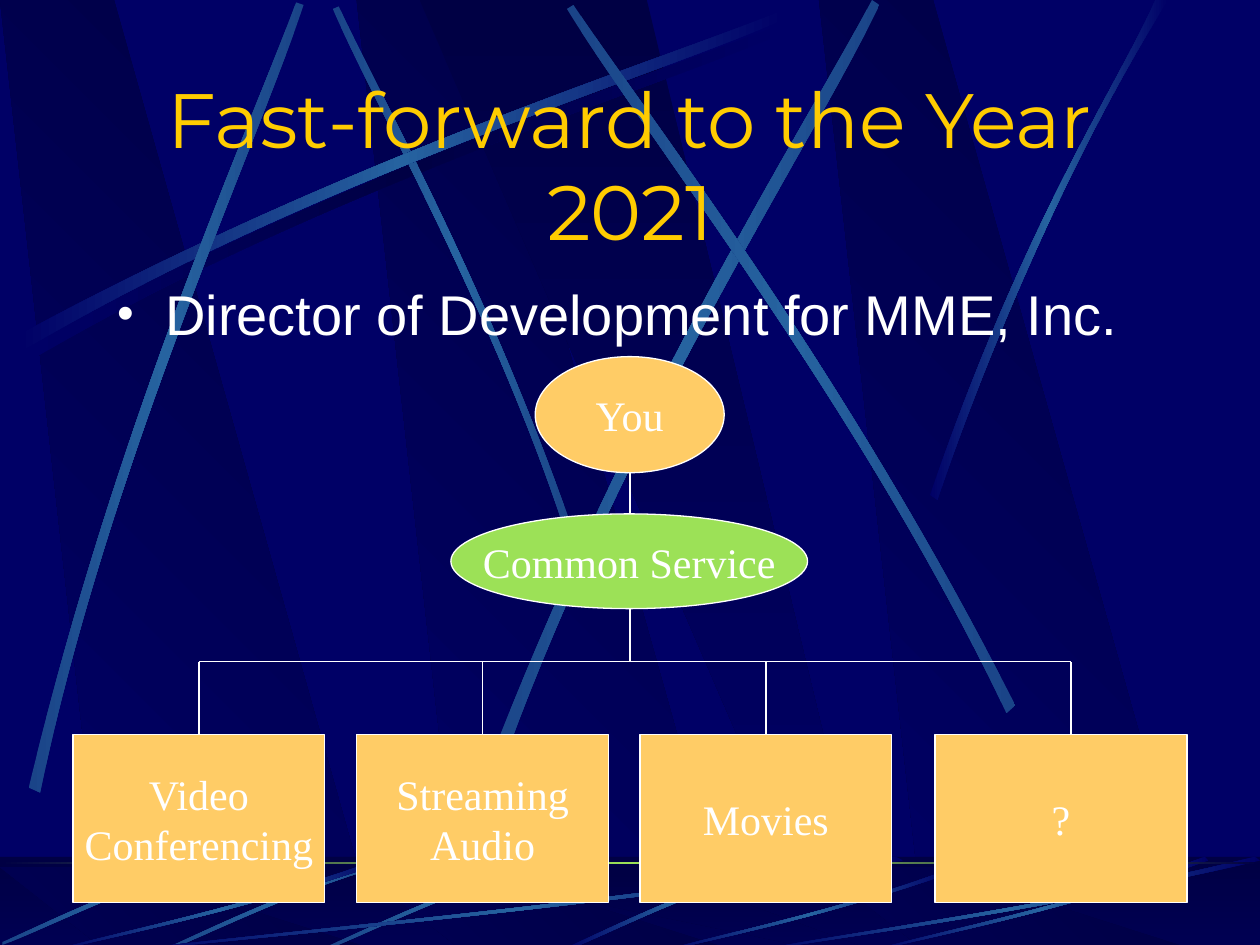
from lxml import etree
from pptx import Presentation
from pptx import util as u
from pptx.dml.color import RGBColor
from pptx.enum import shapes, text
from pptx.oxml import parse_xml
from pptx.oxml.ns import nsdecls, qn

COLORS = {"night": "000066", "deep": "000044", "beam": "2663A0", "beam_end": "1A4488",
          "green": "9CE157", "amber": "FFCC66", "gold": "FFCC00", "white": "FFFFFF"}
FADE = ("night", "beam", "night")
GLOW = ("beam_end", "beam", "beam_end")
SHADE = ("deep", "night")

# Outlines as fractions of their box; rays are two cubic edges, out and back.
SLANT = [(0.28, 1), (1, 1), (0.3, 0), (0, 0)]
WEDGE = [(0, 0), (0.9, 1), (1, 1), (0.5, 0)]
SWEEP = [(0, 0.96), (0.43, 0.43), (0.83, 0.15), (0.99, 0),
         (1, 0.02), (0.83, 0.19), (0.38, 0.5), (0.01, 1)]
FLOOR_RAY = [(1, 0.04), (0.57, 0.57), (0.17, 0.85), (0, 1),
             (0, 0.99), (0.17, 0.81), (0.61, 0.51), (0.99, 0)]
SLIVER = [(0.99, 0), (0.53, 0.33), (0.16, 0.8), (0, 0.97),
          (0, 1), (0.17, 0.84), (0.58, 0.31), (1, 0.04)]

# Tall rays in inches from the corner of the page.
RAY_STEEP = [(4.6, 4.36), (3.91, 2.34), (3.02, 0.77), (2.69, 0.05),
             (2.64, 0.07), (2.95, 0.79), (3.98, 2.58), (4.54, 4.39)]
RAYS = [
    ([(0.23, 6.25), (0.93, 3.34), (1.97, 1.05), (2.35, 0.02),
      (2.41, 0.04), (2.07, 1.08), (0.86, 3.68), (0.32, 6.29)], GLOW),
    ([(3.85, 6.14), (4.98, 3.2), (6.38, 1.02), (6.92, 0),
      (6.98, 0.04), (6.49, 1.08), (4.86, 3.55), (3.94, 6.21)], GLOW),
    ([(8.06, 5.6), (6.7, 2.93), (5.16, 0.95), (4.55, 0.04),
      (4.5, 0.07), (5.07, 1.01), (6.85, 3.25), (7.99, 5.66)], GLOW),
    ([(7.38, 3.93), (8.14, 1.73), (8.88, 0.66), (9.17, 0),
      (9.27, 0), (8.36, 1.45), (7.69, 3.22), (7.44, 3.97)], FADE),
]


def length(inches):
    """Turn inches into a length given in centimetres."""
    return u.Cm(round(inches * 2.54, 2))


def rgb(name):
    """Look up a named colour."""
    return RGBColor.from_string(COLORS[name])


def shade(shape, names, angle):
    """Fill a shape with an even linear gradient and no outline."""
    shape.shadow.inherit = False
    shape.line.fill.background()
    shape.fill.background()
    stops = "".join(
        f'<a:gs pos="{100000 * i // (len(names) - 1)}"><a:srgbClr val="{COLORS[name]}"/></a:gs>'
        for i, name in enumerate(names))
    gradient = parse_xml(f'<a:gradFill {nsdecls("a")} rotWithShape="1"><a:gsLst>{stops}</a:gsLst>'
                         f'<a:lin ang="{angle * 60000}" scaled="0"/></a:gradFill>')
    properties = shape._element.spPr
    properties.replace(properties.find(qn("a:noFill")), gradient)


def outline(page, box, points, names, angle):
    """Draw a closed shape from points that are fractions of the box."""
    left, top, width, height = box
    places = [(length(left + x * width), length(top + y * height)) for x, y in points]
    builder = page.shapes.build_freeform(*places[0])
    builder.add_line_segments(places[1:], close=True)
    shape = builder.convert_to_shape()
    shade(shape, names, angle)
    return shape


def ray(page, box, points, names=FADE):
    """Draw a tapered light ray by bending the long edges of an outline."""
    shape = outline(page, box, points, names, 0)
    lines = list(shape._element.iter(qn("a:lnTo")))
    for edge in (lines[:3], lines[4:7]):
        curve = etree.Element(qn("a:cubicBezTo"))
        edge[0].addprevious(curve)
        for line in edge:
            curve.append(line[0])
            line.getparent().remove(line)


def block(page, kind, box):
    """Add a preset shape in a box without shadow."""
    shape = page.shapes.add_shape(kind, *map(length, box))
    shape.shadow.inherit = False
    return shape


def bands(page, top, height):
    """Draw the four dark slanted bands across the page."""
    for left in (2.83, 0, 6.5):
        outline(page, (left, top, 3.02, height), SLANT, SHADE, 135)
    outline(page, (3.33, top, 3.61, height), WEDGE, SHADE, 90)


def sky(page):
    """Draw the backdrop with its tall rays."""
    bands(page, 0, 7.52)
    unit = (0, 0, 1, 1)
    ray(page, (0.2, 0.18, 6.09, 2.67), SWEEP, ("night", "deep", "night"))
    ray(page, unit, RAY_STEEP, GLOW)
    ray(page, (0.14, 0.1, 6.09, 2.67), SWEEP)
    for points, names in RAYS:
        ray(page, unit, points, names)


def floor(page, box):
    """Draw the floor strip with its rays and the green horizon."""
    left, top, width, height = box
    rectangle = shapes.MSO_SHAPE.RECTANGLE
    shade(block(page, rectangle, box), SHADE, 90)
    bands(page, top + 0.08, height - 0.08)
    veil = block(page, rectangle, box)
    veil.line.fill.background()
    veil.fill.solid()
    veil.fill.fore_color.rgb = rgb("deep")
    color = veil._element.spPr.find(qn("a:solidFill"))[0]
    etree.SubElement(color, qn("a:alpha")).set("val", "50000")
    ray(page, (4.48, top + 0.02, 1.8, 0.73), SLIVER)
    for x, y in ((2.56, 0), (1.31, 0), (0.02, -0.05)):
        ray(page, (x, top + y, 1.88, 0.75), SLIVER, GLOW)
    for x, y, across in ((1, 0, 6.17), (0.42, 0, 2.67), (5.27, 0.09, 2.31),
                         (6.92, 0, 2.67), (6, 0, 4)):
        ray(page, (x, top + y, across, height - y), FLOOR_RAY)
    horizon = block(page, rectangle, (left, top + 0.04, width, 0.02))
    shade(horizon, ("deep", "green", "deep"), 0)


def write(shape, words, size, font, color, align=text.PP_ALIGN.CENTER, wrap=True):
    """Set the text of a shape in one font, and return its frame."""
    frame = shape.text_frame
    frame.word_wrap = wrap
    frame.vertical_anchor = text.MSO_ANCHOR.MIDDLE
    frame.text = words
    for para in frame.paragraphs:
        para.alignment = align
        para.font.size = u.Pt(size)
        para.font.name = font
        para.font.color.rgb = rgb(color)
    return frame


def heading(page, box):
    """Place the title."""
    shape = page.shapes.add_textbox(*map(length, box))
    write(shape, "Fast-forward to the Year 2021", 44, "Montserrat", "gold")


def bullet(page, box):
    """Place the bulleted line."""
    shape = page.shapes.add_textbox(*map(length, box))
    frame = write(shape, "Director of Development for MME, Inc.", 32, "Arial", "white",
                  text.PP_ALIGN.LEFT)
    frame.vertical_anchor = text.MSO_ANCHOR.TOP
    para = frame.paragraphs[0]
    para.space_before = u.Pt(8)
    properties = para._p.get_or_add_pPr()
    properties.set("marL", str(length(0.38)))
    properties.set("indent", str(-length(0.38)))
    tint = etree.SubElement(properties, qn("a:buClr"))
    etree.SubElement(tint, qn("a:srgbClr")).set("val", COLORS["white"])
    for tag, key, value in (("a:buSzPct", "val", "85000"), ("a:buFont", "typeface", "Arial"),
                            ("a:buChar", "char", "•")):
        etree.SubElement(properties, qn(tag)).set(key, value)
    # The schema wants the bullet before the default run properties.
    properties.append(properties.find(qn("a:defRPr")))


def node(page, kind, box, words, color="amber"):
    """Place one labelled node of the chart."""
    shape = block(page, kind, box)
    shape.fill.solid()
    shape.fill.fore_color.rgb = rgb(color)
    shape.line.color.rgb = rgb("white")
    shape.line.width = u.Pt(0.74)
    write(shape, words, 24, "Times New Roman", "white", wrap=False)


def link(page, x1, y1, x2, y2):
    """Draw one thin white line of the chart."""
    line = page.shapes.add_connector(shapes.MSO_CONNECTOR.STRAIGHT,
                                     *map(length, (x1, y1, x2, y2)))
    line.line.color.rgb = rgb("white")
    line.line.width = u.Pt(0.74)
    etree.SubElement(line._element.spPr, qn("a:effectLst"))


def organisation(page, box):
    """Draw the organisation chart."""
    left, top, width, height = box
    center, rail, row = left + width / 2, top + 2.42, top + 3
    oval = shapes.MSO_SHAPE.OVAL
    services = (("Video\nConferencing", 0, 1), ("Streaming\nAudio", 2.25, 3.25),
                ("Movies", 4.5, 5.5), ("?", 6.84, 7.92))
    for words, x, _ in services:
        node(page, shapes.MSO_SHAPE.RECTANGLE, (left + x, row, 2, height - 3), words)
    node(page, oval, (center - 0.75, top, 1.5, 0.92), "You")
    stems = [left + stem for _, _, stem in services]
    for stem in stems:
        link(page, stem, row, stem, rail)
    link(page, stems[0], rail, stems[-1], rail)
    link(page, center, rail, center, top + 0.92)
    node(page, oval, (center - 1.42, top + 1.25, 2.83, 0.75), "Common Service", "green")


def main():
    """Build the deck and save it."""
    deck = Presentation()
    deck.slide_width, deck.slide_height = u.Cm(25.4), u.Cm(19.05)
    page = deck.slides.add_slide(deck.slide_layouts[6])
    page.background.fill.solid()
    page.background.fill.fore_color.rgb = rgb("night")
    sky(page)
    floor(page, (0, 6.8, 10, 0.75))
    heading(page, (0.75, 0.51, 8.5, 1.57))
    bullet(page, (0.83, 2.17, 8.42, 0.75))
    organisation(page, (0.58, 2.83, 8.84, 4.33))
    deck.save("out.pptx")


main()
